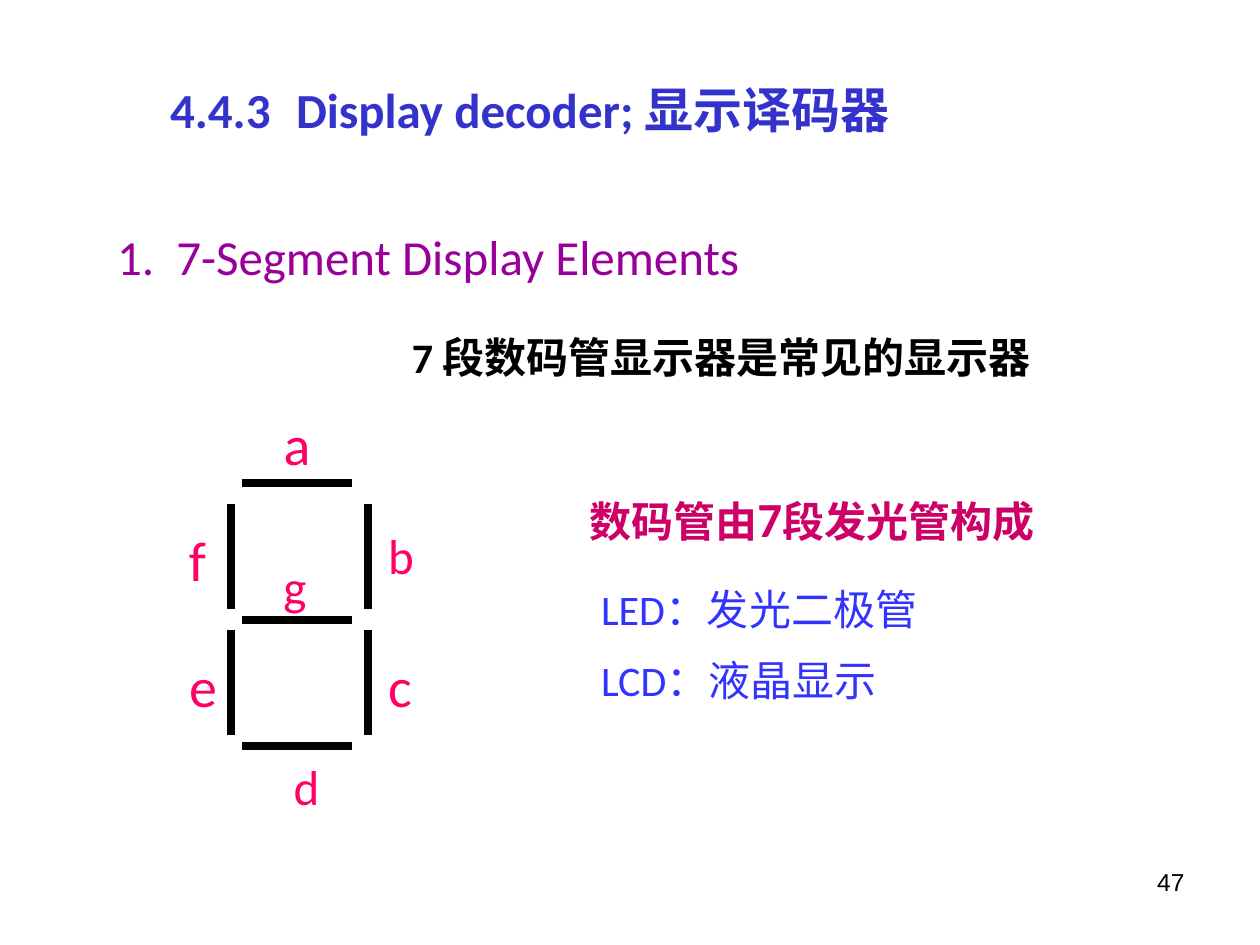
from lxml.etree import SubElement
from pptx import Presentation
from pptx.dml.color import RGBColor as RGB
from pptx.enum.shapes import MSO_CONNECTOR as LINE
from pptx.enum.text import MSO_ANCHOR as ANCHOR, MSO_AUTO_SIZE as SIZE, PP_ALIGN as ALIGN
from pptx.oxml.ns import qn
from pptx.util import Inches, Pt

HEX = {"title": "3333CC", "head": "990099", "list": "3333FF", "label": "FF0066",
       "note": "CC0066", "ink": "000000"}

TITLE = "4.4.3\tDisplay decoder; 显示译码器"
HEAD = "7-Segment Display Elements"
KINDS = ["LED：发光二极管", "LCD：液晶显示"]
INTRO = "7 段数码管显示器是常见的显示器"
NOTE = [("数码管由", 24), ("7", 28), ("段发光管构成", 24)]
PAGE = "47"

# label: left, top, width, size
LABELS = {"a": (2.25, 3.25, 0.21, 32), "b": (3.08, 4.17, 0.2, 28),
          "c": (3.08, 5.17, 0.19, 32), "d": (2.33, 6, 0.2, 28),
          "e": (1.5, 5.17, 0.22, 32), "f": (1.5, 4.17, 0.14, 32),
          "g": (2.25, 4.42, 0.33, 28)}

# digit: columns of upright bars, their tops, and rows of flat bars
COLS, TOPS, ROWS = (1.83, 2.92), (4, 5), (3.83, 4.92, 5.92)
TALL, FLAT = 0.83, (1.92, 2.79)


def write(box, at, paras, size, color, bold=False, font="Calibri", align=ALIGN.LEFT,
          gap=0, pad=True, wrap=True, number=False, tab=None):
    """Place a box and fill it; a paragraph is a string or a list of (text, size)."""
    box.left, box.top, box.width, box.height = map(Inches, at)
    frame = box.text_frame
    frame.auto_size, frame.word_wrap = SIZE.NONE, wrap
    frame.vertical_anchor = ANCHOR.TOP
    if not pad:
        frame.margin_left = frame.margin_right = 0
        frame.margin_top = frame.margin_bottom = 0
    for i, runs in enumerate(paras):
        para = frame.paragraphs[0] if i == 0 else frame.add_paragraph()
        props = para._p.get_or_add_pPr()
        hang = Inches(0.47) if number else 0
        props.set("marL", str(hang))
        props.set("indent", str(-hang))
        if number:
            SubElement(props, qn("a:buAutoNum"), type="arabicPeriod")
        else:
            SubElement(props, qn("a:buNone"))
        if tab:
            tabs = SubElement(props, qn("a:tabLst"))
            SubElement(tabs, qn("a:tab"), pos=str(Inches(tab)), algn="l")
        para.alignment = align
        para.space_before = Pt(gap if i else 0)
        for text, points in [(runs, size)] if isinstance(runs, str) else runs:
            run = para.add_run()
            run.text = text
            run.font.size, run.font.name, run.font.bold = Pt(points), font, bold
            run.font.color.rgb = RGB.from_string(HEX[color])


def bar(group, x1, y1, x2, y2):
    line = group.shapes.add_connector(LINE.STRAIGHT, *map(Inches, (x1, y1, x2, y2)))
    line.line.width = Pt(4.5)
    line.line.color.rgb = RGB.from_string(HEX["ink"])
    SubElement(line._element.spPr, qn("a:effectLst"))


def main():
    deck = Presentation()
    deck.slide_width, deck.slide_height = Inches(10), Inches(7.5)
    slide = deck.slides.add_slide(deck.slide_layouts.get_by_name("Two Content"))
    title, head, kinds = slide.placeholders

    def new():
        return slide.shapes.add_textbox(0, 0, 0, 0)

    write(title, (1.25, 0.58, 7.42, 0.57), [TITLE], 28, "title", bold=True, tab=1.24)
    write(head, (0.83, 1.75, 5.83, 0.57), [HEAD], 28, "head", number=True)
    write(kinds, (4.67, 4.58, 4.32, 1.1), KINDS, 24, "list", gap=12)
    write(new(), (3.17, 2.58, 5.93, 0.5), [INTRO], 24, "ink", bold=True)
    write(new(), (4.58, 3.83, 4.17, 0.57), [NOTE], 24, "note", bold=True)
    write(new(), (7.17, 6.83, 2.33, 0.52), [PAGE], 14, "ink", font="Arial",
          align=ALIGN.RIGHT)

    for name, (left, top, width, size) in LABELS.items():
        write(new(), (left, top, width, size / 60), [name], size, "label",
              pad=False, wrap=False)

    digit = slide.shapes.add_group_shape()
    for y in ROWS:
        bar(digit, FLAT[0], y, FLAT[1], y)
    for x in COLS:
        for y in TOPS:
            bar(digit, x, y, x, y + TALL)

    deck.save("out.pptx")


if __name__ == "__main__":
    main()
